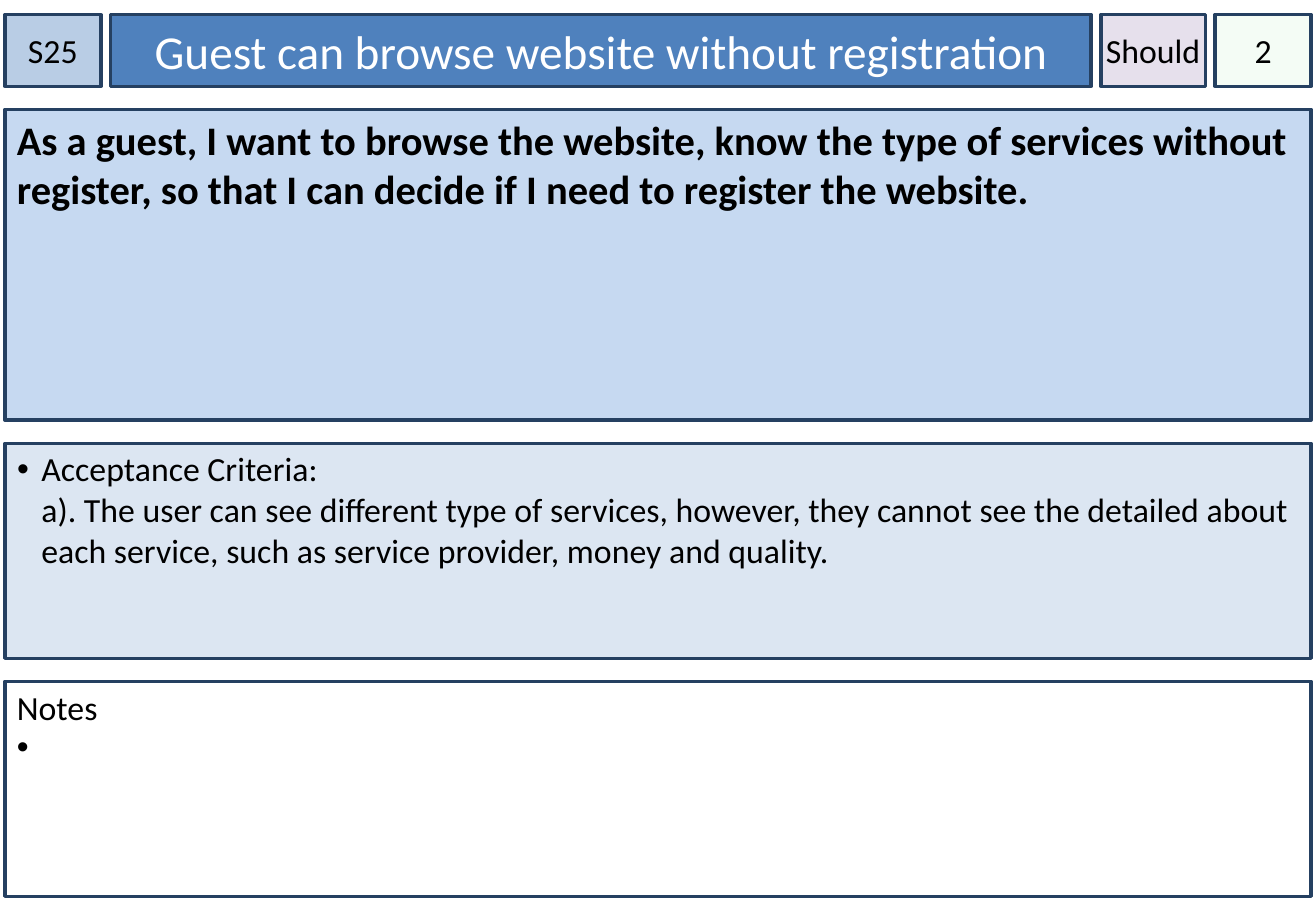
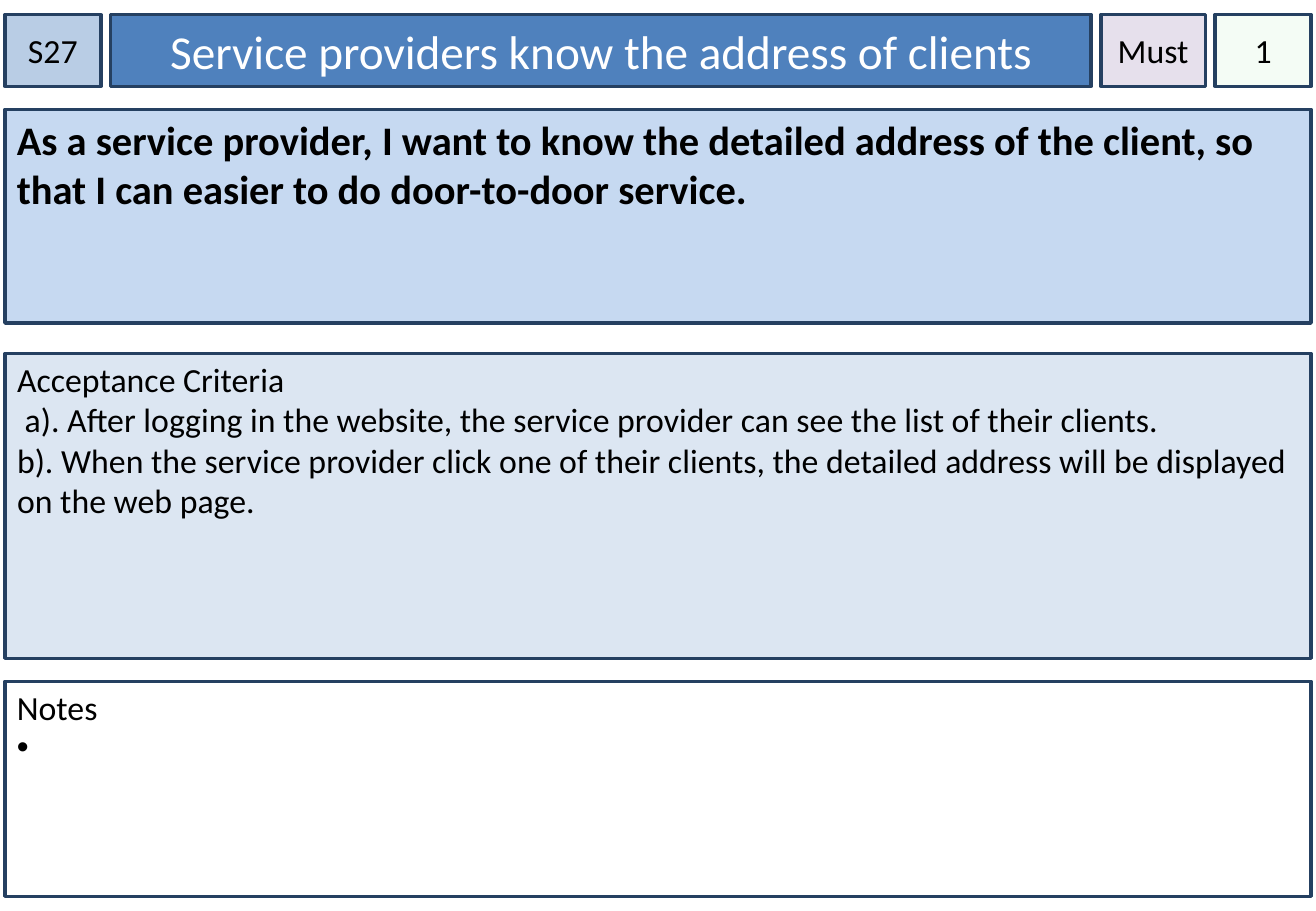
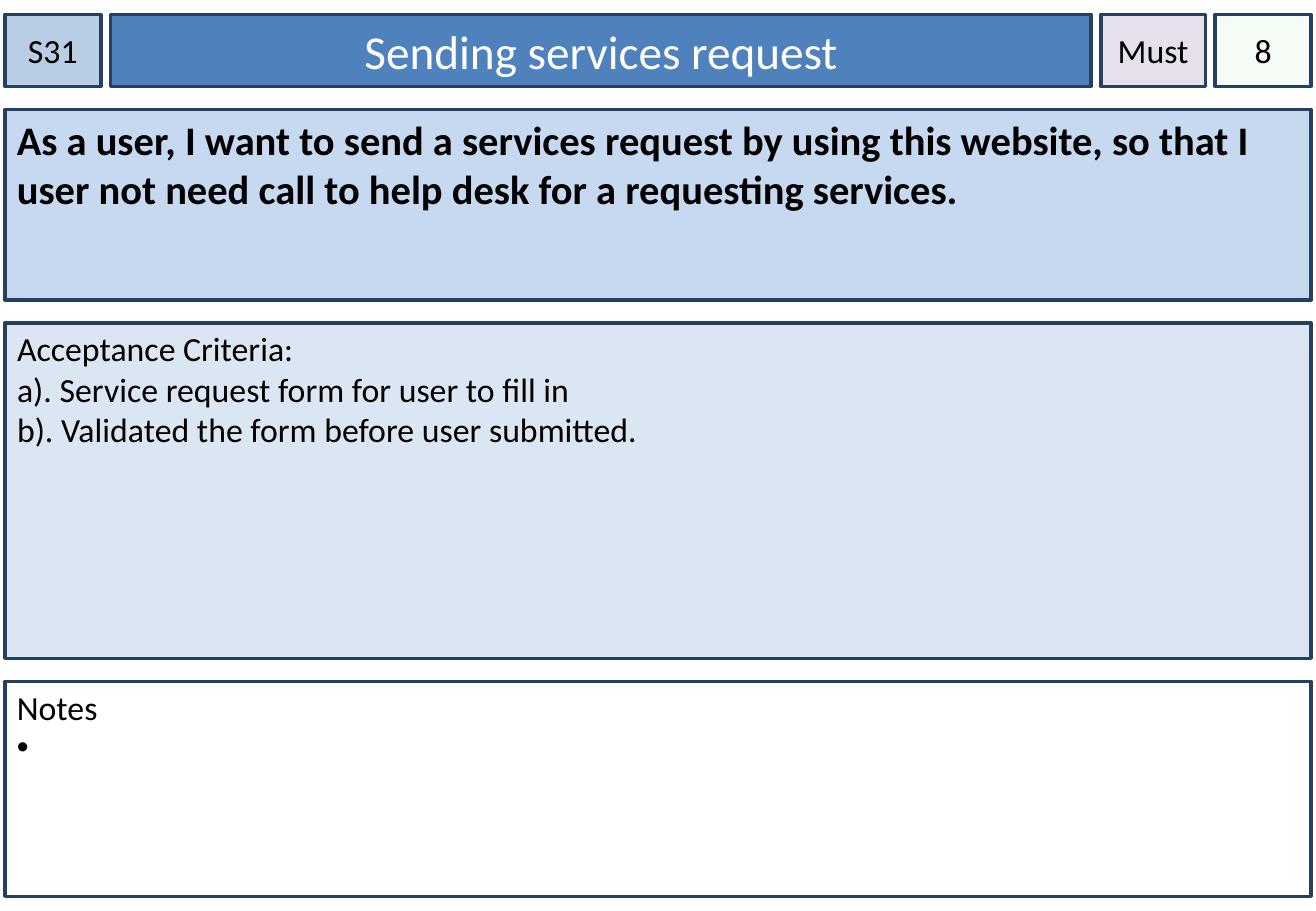
from lxml.etree import SubElement
from pptx import Presentation
from pptx.dml.color import RGBColor
from pptx.enum.shapes import MSO_SHAPE
from pptx.enum.text import MSO_ANCHOR, MSO_AUTO_SIZE, PP_ALIGN
from pptx.oxml.ns import qn
from pptx.util import Pt

PX = 9144
WIDTH, HEIGHT = 1083, 750
LEFT, FULL_WIDTH = 4, 1075
HEADER_TOP, HEADER_HEIGHT, HEADER_GAP = 12, 59, 8
BAND_GAP = 19
STORY_TOP = HEADER_TOP + HEADER_HEIGHT + BAND_GAP
NOTES_HEIGHT = 177
NOTES_TOP = 561
CRITERIA_BOTTOM = NOTES_TOP - BAND_GAP
BADGE_INSETS = (0, 5, 0, 5)
TITLE_INSETS = (10, 5, 10, 5)
LIST_INSETS = (10, 4, 10, 5)
INDENT = 20


def px(length):
    return length * PX


def color(hex_text):
    return RGBColor.from_string(hex_text)


class StoryCard:
    font_name = "Calibri"
    outline = "254061"
    ink = "000000"

    def __init__(self, presentation):
        self.presentation = presentation
        self.slide = None

    def new_slide(self):
        layout = self.presentation.slide_layouts[1]
        self.slide = self.presentation.slides.add_slide(layout)

    def rectangle(self):
        return self.slide.shapes.add_shape(MSO_SHAPE.RECTANGLE, 0, 0, PX, PX)

    def style_box(self, shape, bounds, fill, insets, anchor, wrap=True):
        shape.left, shape.top, shape.width, shape.height = map(px, bounds)
        shape.shadow.inherit = False
        shape.fill.solid()
        shape.fill.fore_color.rgb = color(fill)
        shape.line.color.rgb = color(self.outline)
        shape.line.width = Pt(2)
        frame = shape.text_frame
        frame.auto_size = MSO_AUTO_SIZE.NONE
        frame.word_wrap = wrap
        frame.vertical_anchor = anchor
        (frame.margin_left, frame.margin_top,
         frame.margin_right, frame.margin_bottom) = map(px, insets)

    def add_text(self, shape, items, size=20, ink=ink, bold=False, align=PP_ALIGN.LEFT):
        frame = shape.text_frame
        for index, (text, bulleted) in enumerate(items):
            paragraph = frame.add_paragraph() if index else frame.paragraphs[0]
            paragraph.alignment = align
            paragraph.space_before = Pt(0)
            self.set_bullet(paragraph, bulleted)
            for number, line in enumerate(text.split("\n")):
                if number:
                    paragraph.add_line_break()
                run = paragraph.add_run()
                run.text = line
                run.font.name = self.font_name
                run.font.size = Pt(size)
                run.font.bold = bold
                run.font.color.rgb = color(ink)

    def set_bullet(self, paragraph, bulleted):
        properties = paragraph._p.get_or_add_pPr()
        indent = px(INDENT) if bulleted else 0
        properties.set("marL", str(indent))
        properties.set("indent", str(-indent))
        if bulleted:
            SubElement(properties, qn("a:buFont"), typeface="Arial")
            SubElement(properties, qn("a:buChar"), char="•")
        else:
            SubElement(properties, qn("a:buNone"))

    def badge(self, text, left, width, fill, wrap=True, opacity=100):
        shape = self.rectangle()
        bounds = (left, HEADER_TOP, width, HEADER_HEIGHT)
        self.style_box(shape, bounds, fill, BADGE_INSETS, MSO_ANCHOR.MIDDLE, wrap)
        if opacity < 100:
            fill_color = shape._element.spPr.find(qn("a:solidFill"))[0]
            SubElement(fill_color, qn("a:alpha"), val=str(opacity * 1000))
        self.add_text(shape, [(text, False)], align=PP_ALIGN.CENTER)

    def title(self, text, left, width):
        shape = self.slide.shapes.title
        bounds = (left, HEADER_TOP, width, HEADER_HEIGHT)
        self.style_box(shape, bounds, "4F81BD", TITLE_INSETS, MSO_ANCHOR.MIDDLE)
        self.add_text(shape, [(text, False)], 28, "FFFFFF", align=PP_ALIGN.CENTER)

    def header(self, code, title, priority, points):
        widths = (79, 807, 86, 79)
        lefts = [LEFT + sum(widths[:i]) + i * HEADER_GAP for i in range(len(widths))]
        self.badge(code, lefts[0], widths[0], "B9CDE5")
        self.title(title, lefts[1], widths[1])
        self.badge(priority, lefts[2], widths[2], "E6E0EC", wrap=False)
        self.badge(points, lefts[3], widths[3], "CCF0CD", opacity=20)

    def story(self, text, height):
        shape = self.rectangle()
        bounds = (LEFT, STORY_TOP, FULL_WIDTH, height)
        self.style_box(shape, bounds, "C6D9F1", TITLE_INSETS, MSO_ANCHOR.TOP)
        self.add_text(shape, [(text, False)], 24, bold=True)

    def criteria(self, items, top):
        shape = self.slide.placeholders[1]
        bounds = (LEFT, top, FULL_WIDTH, CRITERIA_BOTTOM - top)
        self.style_box(shape, bounds, "DCE6F2", LIST_INSETS, MSO_ANCHOR.TOP)
        self.add_text(shape, items)

    def notes(self):
        shape = self.rectangle()
        bounds = (LEFT, NOTES_TOP, FULL_WIDTH, NOTES_HEIGHT)
        self.style_box(shape, bounds, "FFFFFF", LIST_INSETS, MSO_ANCHOR.TOP)
        self.add_text(shape, [("Notes", False), (" ", True)])

    def build(self, header, story, story_height, criteria, gap=BAND_GAP):
        self.new_slide()
        self.header(*header)
        self.story(story, story_height)
        self.criteria(criteria, STORY_TOP + story_height + gap)
        self.notes()


def main():
    presentation = Presentation()
    presentation.slide_width = px(WIDTH)
    presentation.slide_height = px(HEIGHT)
    card = StoryCard(presentation)
    card.build(
        ("S25", "Guest can browse website without registration", "Should", "2"),
        "As a guest, I want to browse the website, know the type of services "
        "without register, so that I can decide if I need to register the website.",
        256,
        [("Acceptance Criteria:\na). The user can see different type of services, "
          "however, they cannot see the detailed about each service, such as "
          "service provider, money and quality.", True)],
    )
    card.build(
        ("S27", "Service providers know the address of clients", "Must", "1"),
        "As a service provider, I want to know the detailed address of the client, "
        "so that I can easier to do door-to-door service.",
        176,
        [("Acceptance Criteria", False),
         (" a). After logging in the website, the service provider can see the "
          "list of their clients.", False),
         ("b). When the service provider click one of their clients, the detailed "
          "address will be displayed on the web page.", False)],
        gap=25,
    )
    card.build(
        ("S31", "Sending services request", "Must", "8"),
        "As a user, I want to send a services request by using this website, "
        "so that I user not need call to help desk for a requesting services.",
        157,
        [("Acceptance Criteria:\na). Service request form for user to fill in\n"
          "b). Validated the form before user submitted.", False)],
    )
    presentation.save("out.pptx")


if __name__ == "__main__":
    main()
